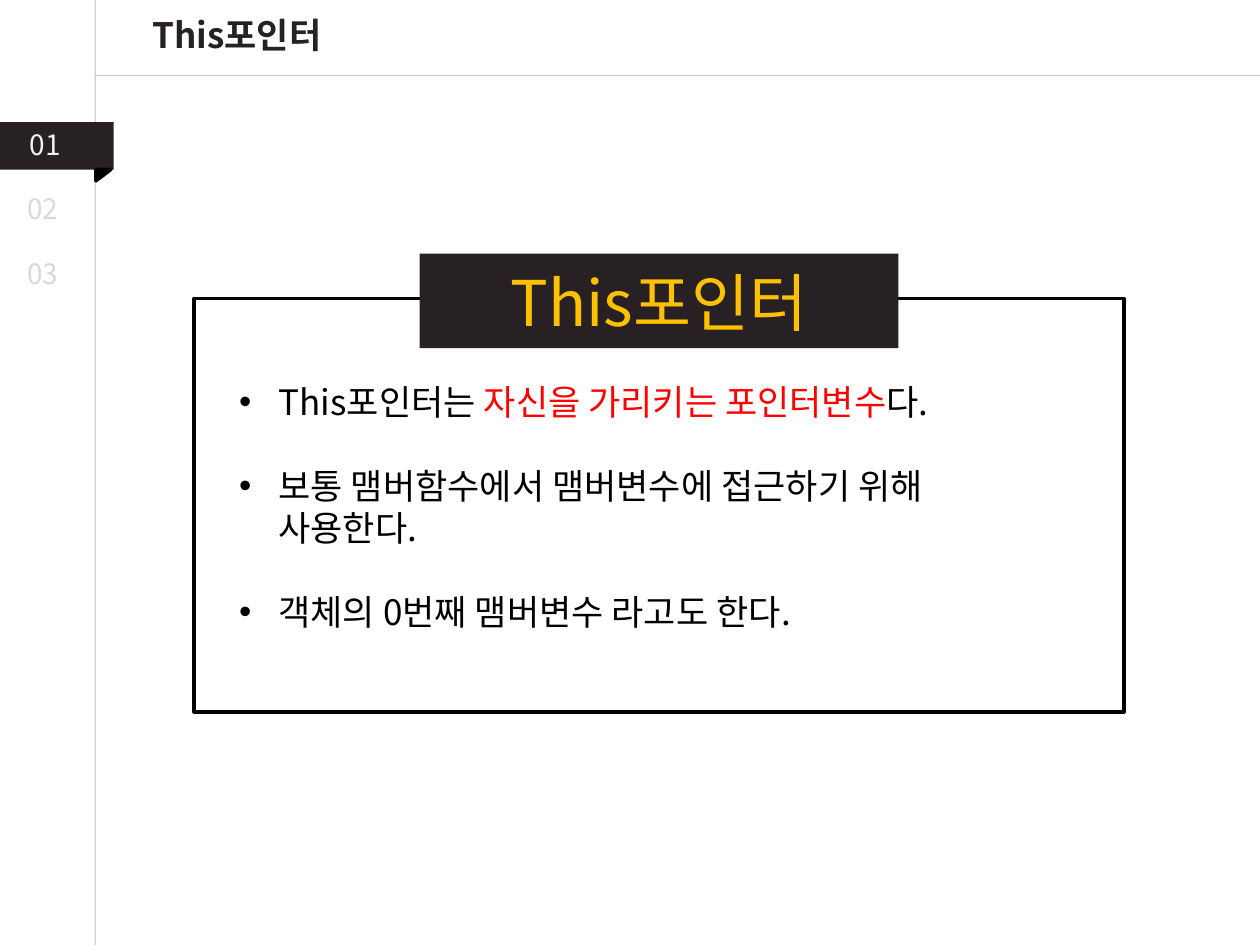
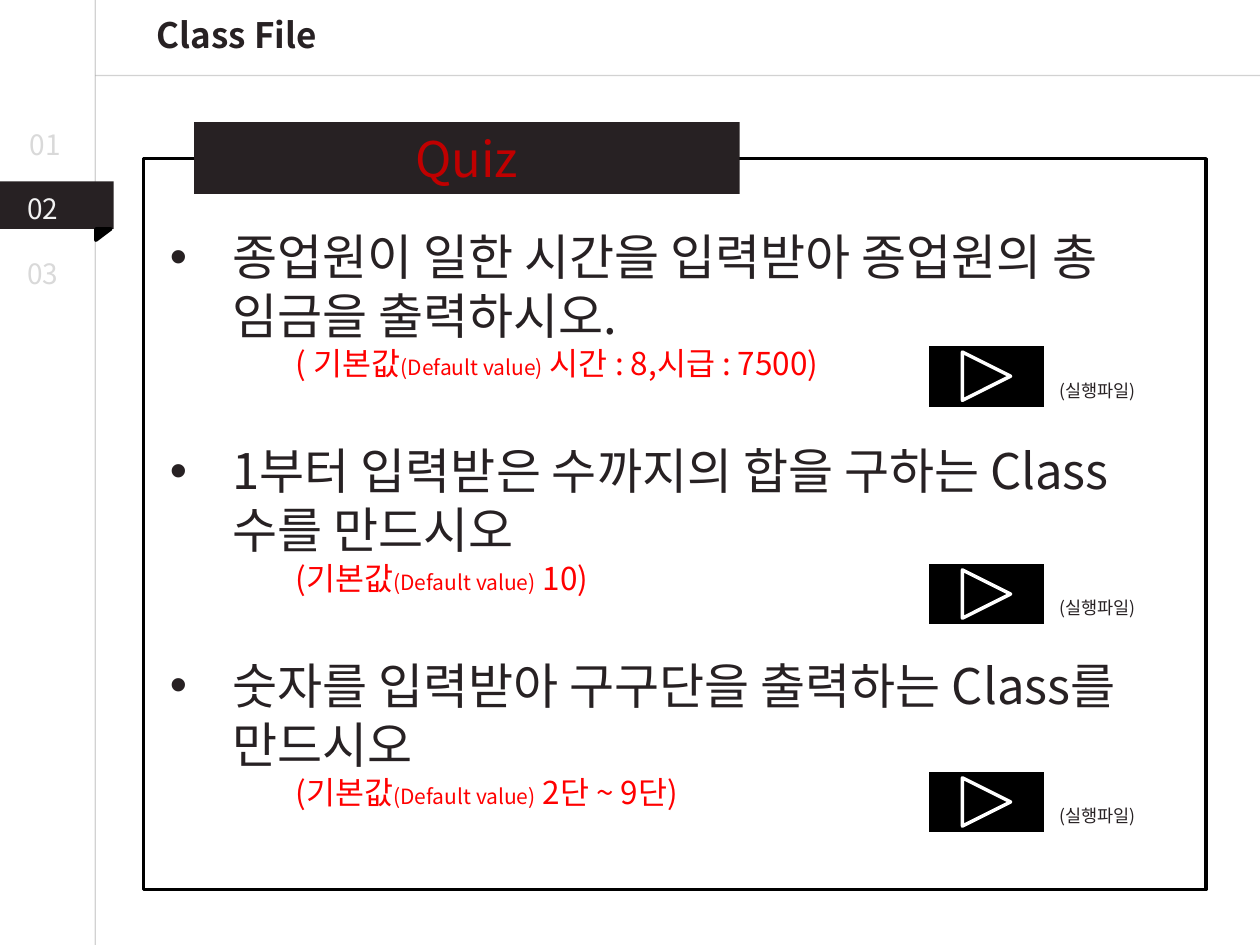
from dataclasses import dataclass

from lxml.etree import SubElement
from pptx import Presentation
from pptx.dml.color import RGBColor
from pptx.enum.shapes import MSO_CONNECTOR as Connector, MSO_SHAPE as Preset
from pptx.enum.text import MSO_ANCHOR as Anchor, PP_ALIGN as Align
from pptx.oxml.ns import qn
from pptx.util import Pt


@dataclass(frozen=True)
class Theme:
    font: str = "Noto Sans CJK KR"
    ink: str = "272123"
    black: str = "000000"
    white: str = "FFFFFF"
    rule: str = "A6A6A6"
    faded: str = "D9D9D9"
    current: str = "F2F2F2"
    red: str = "FF0000"
    quiz_red: str = "C00000"
    gold: str = "FFC000"
    banner: int = 36
    quiz: int = 28
    body: int = 20
    hint: int = 18
    nav: int = 16
    small: int = 12
    caption: int = 10
    border: int = 2


THEME = Theme()
SLIDE_W, SLIDE_H = 720, 540
RULE_X, RULE_Y = 54.4, 43.2
NAV_LABELS = (("01", 10, 69.1), ("02", 8.6, 105.8), ("03", 8.6, 143.3))
MARKER_TOPS = (69.8, 103.7)
MARKER_W, MARKER_H = 65, 27.2


class Deck:
    def __init__(self, theme):
        self.theme = theme
        self.prs = Presentation()
        self.prs.slide_width, self.prs.slide_height = Pt(SLIDE_W), Pt(SLIDE_H)
        self.slide = None

    def new_slide(self, title, current):
        """Start a slide with its rules, title and navigation; current counts from 0."""
        t = self.theme
        self.slide = self.prs.slides.add_slide(self.prs.slide_layouts[6])
        self.rule(RULE_X, 0, RULE_X, SLIDE_H)
        self.rule(SLIDE_W, RULE_Y, RULE_X, RULE_Y)
        self.text((58.3, 4.3, 154.1, 31.7), title, t.body, t.ink, Align.CENTER, bold=True)
        top = MARKER_TOPS[current]
        self.shape((0, top, MARKER_W, MARKER_H), fill=t.ink)
        fold = self.shape((55.8, top + 26, 6.5, 8.6), Preset.RIGHT_TRIANGLE, t.black, t.black)
        fold.rotation = 90
        for index, (number, left, label_top) in enumerate(NAV_LABELS):
            color = t.current if index == current else t.faded
            self.text((left, label_top, 40, 26.6), number, t.nav, color)

    def rule(self, x1, y1, x2, y2):
        line = self.slide.shapes.add_connector(
            Connector.STRAIGHT, Pt(x1), Pt(y1), Pt(x2), Pt(y2))
        line.line.color.rgb = RGBColor.from_string(self.theme.rule)
        line.line.width = Pt(0.75)
        properties = line._element.spPr
        SubElement(next(properties.iter(qn("a:srgbClr"))), qn("a:alpha"), val="50000")
        SubElement(properties, qn("a:effectLst"))

    def shape(self, box, preset=Preset.RECTANGLE, fill=None, border=None):
        shape = self.slide.shapes.add_shape(preset, *map(Pt, box))
        shape.shadow.inherit = False
        if fill:
            shape.fill.solid()
            shape.fill.fore_color.rgb = RGBColor.from_string(fill)
        else:
            shape.fill.background()
        if border:
            shape.line.color.rgb = RGBColor.from_string(border)
            shape.line.width = Pt(self.theme.border)
        else:
            shape.line.fill.background()
        return shape

    def frame(self, box):
        frame = self.slide.shapes.add_textbox(*map(Pt, box)).text_frame
        frame.word_wrap = True
        return frame

    def run(self, paragraph, words, size, color, bold=False):
        run = paragraph.add_run()
        run.text = words
        font = run.font
        font.size, font.bold, font.name = Pt(size), bold, self.theme.font
        font.color.rgb = RGBColor.from_string(color)
        SubElement(run._r.get_or_add_rPr(), qn("a:ea"), typeface=self.theme.font)

    def text(self, box, words, size, color, align=Align.LEFT, bold=False):
        paragraph = self.frame(box).paragraphs[0]
        paragraph.alignment = align
        self.run(paragraph, words, size, color, bold)

    def panel(self, outline, band, heading, size, color):
        """Draw an outlined panel with a dark heading band over its top edge."""
        self.shape(outline, border=self.theme.black)
        frame = self.shape(band, fill=self.theme.ink).text_frame
        frame.vertical_anchor = Anchor.MIDDLE
        frame.paragraphs[0].alignment = Align.CENTER
        self.run(frame.paragraphs[0], heading, size, color)

    def item(self, frame, runs, indent, gap=0, bullet=True):
        """Add a paragraph of (words, size, color) runs; None breaks the line."""
        paragraph = frame.paragraphs[0]
        if paragraph.runs:
            paragraph = frame.add_paragraph()
            paragraph.space_before = Pt(gap)
        properties = paragraph._p.get_or_add_pPr()
        properties.set("marL", str(Pt(indent)))
        if bullet:
            properties.set("indent", str(-Pt(indent)))
            SubElement(properties, qn("a:buFont"), typeface="Arial")
            SubElement(properties, qn("a:buChar"), char="•")
        for run in runs:
            if run is None:
                paragraph.add_line_break()
            else:
                self.run(paragraph, *run)

    def play_button(self, top):
        t = self.theme
        self.shape((529.9, top, 67.7, 36.7), Preset.ACTION_BUTTON_FORWARD_OR_NEXT,
                   t.black, t.white)
        self.text((598.3, top + 16.8, 61.9, 19.4), "(실행파일)", t.caption, t.ink)


def this_pointer_slide(deck):
    t = deck.theme
    deck.new_slide("This포인터", 0)
    deck.panel((110.9, 170.6, 531.4, 236.2), (239.8, 145, 273.6, 54),
               "This포인터", t.banner, t.gold)
    facts = (
        (("This포인터는 ", t.body, t.black), ("자신을 가리키는 포인터변수", t.body, t.red),
         ("다.", t.body, t.black)),
        (("보통 맴버함수에서 맴버변수에 접근하기 위해", t.body, t.black), None,
         ("사용한다.", t.body, t.black)),
        (("객체의 0번째 맴버변수 라고도 한다.", t.body, t.black),),
    )
    frame = deck.frame((129.6, 213.8, 508.3, 152.6))
    for fact in facts:
        deck.item(frame, fact, 22.5, gap=24)


def quiz_slide(deck):
    t = deck.theme
    deck.new_slide("Class File", 1)
    deck.panel((82.1, 90.7, 607, 417.6), (110.9, 69.8, 311.8, 41),
               "Quiz", t.quiz, t.quiz_red)
    quizzes = (
        ("종업원이 일한 시간을 입력받아 종업원의 총 임금을 출력하시오.",
         "( 기본값", " 시간 : 8,시급 : 7500)", 196.6),
        ("1부터 입력받은 수까지의 합을 구하는 Class수를 만드시오",
         "(기본값", " 10)", 321.1),
        ("숫자를 입력받아 구구단을 출력하는 Class를 만드시오",
         "(기본값", " 2단 ~ 9단)", 439.9),
    )
    frame = deck.frame((90, 126, 581, 356.4))
    for question, opening, values, button_top in quizzes:
        deck.item(frame, [(question, t.quiz, t.ink)], 36, gap=33.6)
        deck.item(frame, [(opening, t.hint, t.red), ("(Default value)", t.small, t.red),
                          (values, t.hint, t.red)], 72, bullet=False)
        deck.play_button(button_top)


def main():
    deck = Deck(THEME)
    this_pointer_slide(deck)
    quiz_slide(deck)
    deck.prs.save("out.pptx")


if __name__ == "__main__":
    main()
